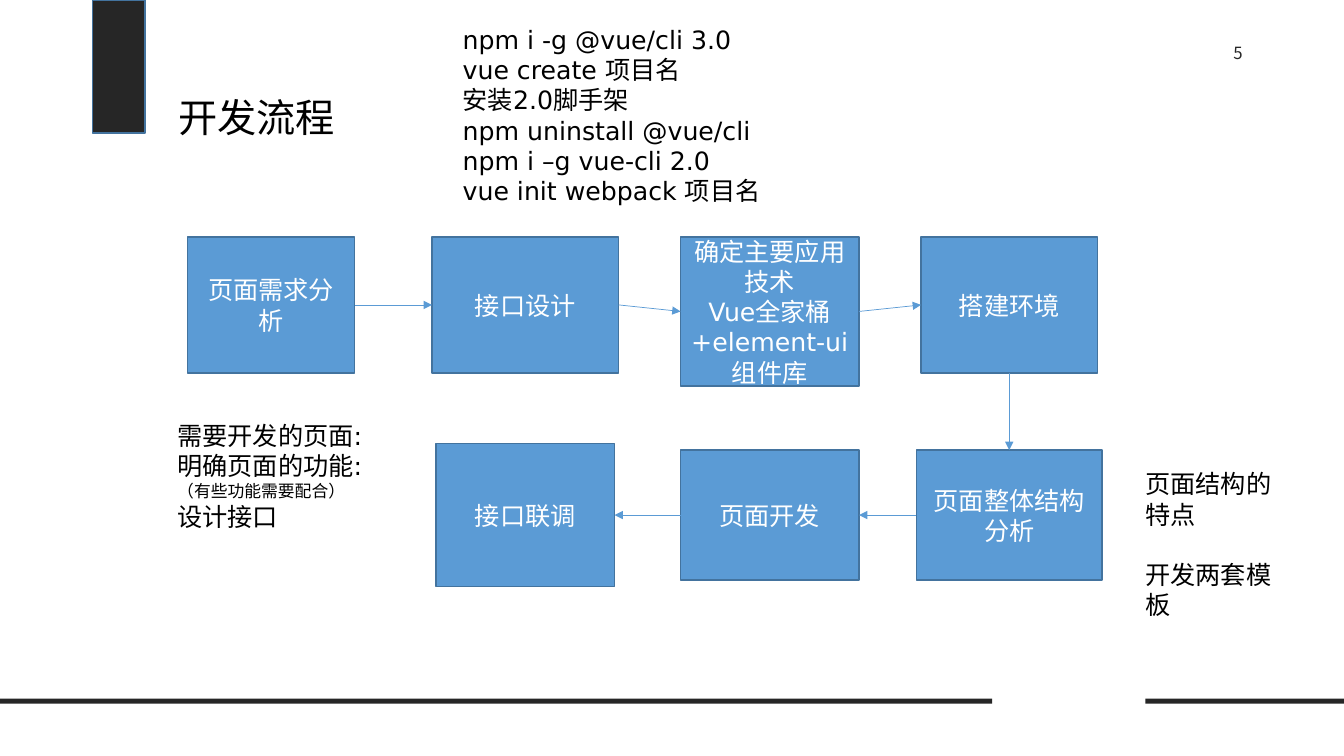
import pptx
import pptx.util
import pptx.dml.color
import pptx.enum.shapes
import pptx.enum.text
import pptx.oxml
import pptx.oxml.ns

Inches, Pt = pptx.util.Inches, pptx.util.Pt
ALIGN, ANCHOR = pptx.enum.text.PP_ALIGN, pptx.enum.text.MSO_ANCHOR

# Content
TITLE = "开发流程"
PAGE_NUMBER = "5"
COMMANDS = ["npm i -g @vue/cli 3.0", "vue create 项目名", "安装2.0脚手架",
            "npm uninstall @vue/cli", "npm i –g vue-cli 2.0", "vue init webpack 项目名"]
PAGE_NOTES = ["需要开发的页面:", "明确页面的功能:", "（有些功能需要配合）", "设计接口"]
STRUCTURE_NOTES = ["页面结构的特点", "开发两套模板"]

# Steps in order: text, column, row, width, height
STEPS = [
    (["页面需求分析"], 0, 0, 1.66, 1.35),
    (["接口设计"], 1, 0, 1.85, 1.35),
    (["确定主要应用技术", "Vue全家桶+element-ui组件库"], 2, 0, 1.77, 1.48),
    (["搭建环境"], 3, 0, 1.75, 1.35),
    (["页面整体结构分析"], 3, 1, 1.84, 1.29),
    (["页面开发"], 2, 1, 1.77, 1.29),
    (["接口联调"], 1, 1, 1.77, 1.42),
]
COLUMN_CENTERS = [2.69, 5.21, 7.635, 10.01]
ROW_TOP = 2.35            # first row is aligned by its top
ROW_MIDDLE = 5.11         # second row is aligned by its middle

COLORS = {"dark": "262626", "step": "5B9BD5", "edge": "43739E",
          "text": "000000", "light": "FFFFFF"}
BODY_FONT, HEAD_FONT = "DejaVu Sans", "Noto Sans CJK SC"
TOP, LEFT, BOTTOM, RIGHT = range(4)

deck = pptx.Presentation()
deck.slide_width, deck.slide_height = Inches(13.33), Inches(7.5)
page = deck.slides.add_slide(deck.slide_layouts[6])


def color(name):
    return pptx.dml.color.RGBColor.from_string(COLORS[name])


def write(box, lines, size=18, font=BODY_FONT, ink="text", align=ALIGN.LEFT,
          anchor=ANCHOR.TOP):
    frame = box.text_frame
    frame.word_wrap = True
    frame.vertical_anchor = anchor
    frame.text = "\n".join(lines)
    for para in frame.paragraphs:
        para.alignment = align
        for span in para.runs:
            span.font.size, span.font.name = Pt(size), font
            span.font.color.rgb = color(ink)
            east_asian = pptx.oxml.parse_xml(
                f'<a:ea {pptx.oxml.ns.nsdecls("a")} typeface="{font}"/>')
            span.font._element.append(east_asian)
    return frame


def add_text(left, top, width, height, lines, **style):
    box = page.shapes.add_textbox(*map(Inches, (left, top, width, height)))
    return write(box, lines, **style)


def add_rectangle(left, top, width, height, fill, edge=None):
    box = page.shapes.add_shape(pptx.enum.shapes.MSO_SHAPE.RECTANGLE,
                                *map(Inches, (left, top, width, height)))
    box.shadow.inherit = False
    box.fill.solid()
    box.fill.fore_color.rgb = color(fill)
    if edge:
        box.line.color.rgb, box.line.width = color(edge), Pt(1)
    else:
        box.line.fill.background()
    return box


def add_arrow(start, start_side, end, end_side):
    arrow = page.shapes.add_connector(
        pptx.enum.shapes.MSO_CONNECTOR.STRAIGHT, 0, 0, 0, 0)
    arrow.begin_connect(start, start_side)
    arrow.end_connect(end, end_side)
    arrow.line.color.rgb, arrow.line.width = color("step"), Pt(0.5)
    namespace = pptx.oxml.ns.nsdecls("a")
    arrow.line._get_or_add_ln().append(
        pptx.oxml.parse_xml(f'<a:tailEnd {namespace} type="triangle"/>'))
    arrow._element.spPr.append(pptx.oxml.parse_xml(f"<a:effectLst {namespace}/>"))


# Frame decoration and page number
add_rectangle(0.92, 0, 0.52, 1.32, "dark", "edge")
for left, width in [(0, 9.84), (11.36, 1.97)]:
    add_rectangle(left, 6.93, width, 0.05, "dark")
add_text(11.83, 0.37, 0.9, 0.5, [PAGE_NUMBER], size=12, font=HEAD_FONT,
         ink="dark", align=ALIGN.CENTER)

# Title
heading = add_text(1.67, 0.62, 10, 0.83, [TITLE], size=28, font=HEAD_FONT,
                   anchor=ANCHOR.BOTTOM)
heading.paragraphs[0].line_spacing = 0.9

# Process steps
boxes = []
for lines, column, row, width, height in STEPS:
    top = ROW_MIDDLE - height / 2 if row else ROW_TOP
    box = add_rectangle(COLUMN_CENTERS[column] - width / 2, top, width, height,
                        "step", "edge")
    write(box, lines, ink="light", align=ALIGN.CENTER, anchor=ANCHOR.MIDDLE)
    boxes.append(box)

# Arrows: right along the first row, down, then left along the second
for index in range(len(STEPS) - 1):
    (_, column, row, _, _), (_, next_column, next_row, _, _) = STEPS[index:index + 2]
    if row != next_row:
        sides = BOTTOM, TOP
    elif next_column > column:
        sides = RIGHT, LEFT
    else:
        sides = LEFT, RIGHT
    add_arrow(boxes[index], sides[0], boxes[index + 1], sides[1])

# Notes and commands
page_notes = add_text(1.66, 4.12, 2.23, 1.21, PAGE_NOTES)
page_notes.paragraphs[2].runs[0].font.size = Pt(12)
structure_notes = add_text(11.26, 4.6, 1.55, 1.92, STRUCTURE_NOTES)
structure_notes.paragraphs[1].space_before = Pt(21.6)
add_text(4.49, 0.19, 6.92, 2.22, COMMANDS)

deck.save("out.pptx")
